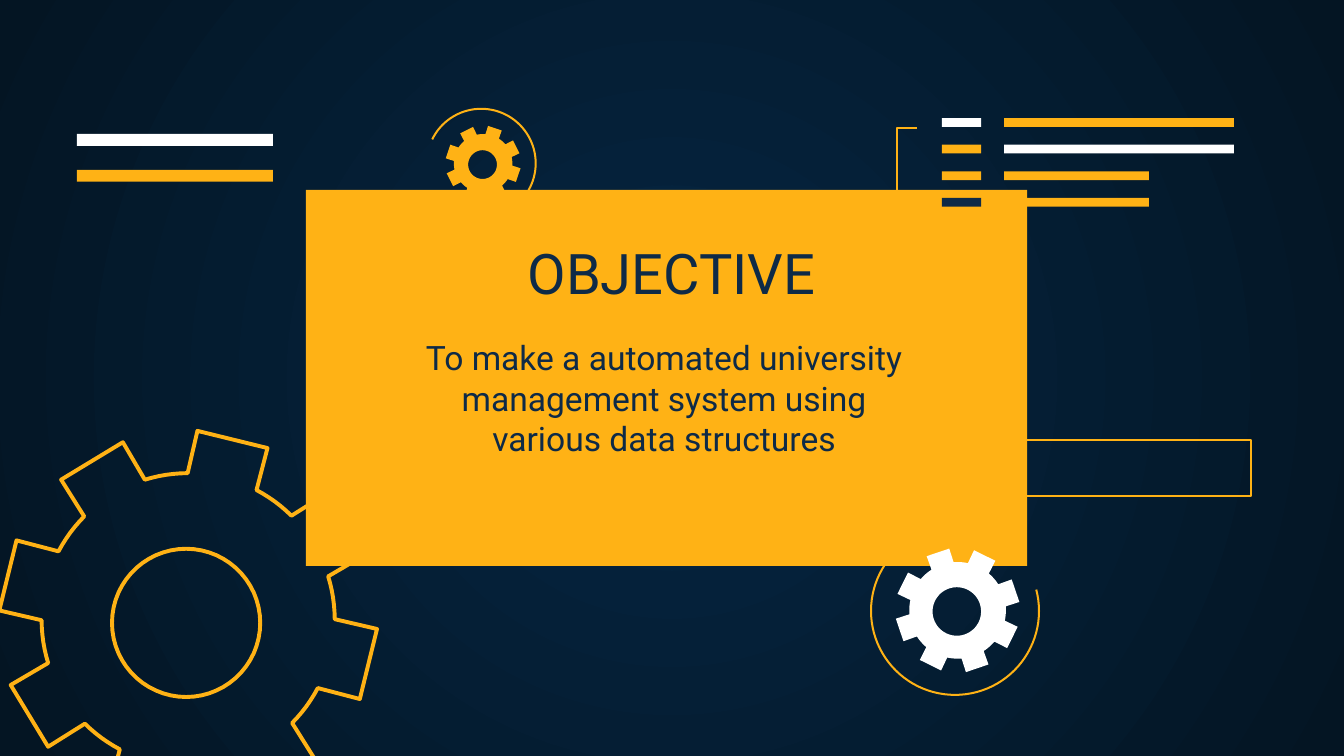
from math import cos, radians, sin

from lxml import etree
from pptx import Presentation
from pptx.dml.color import RGBColor
from pptx.enum import shapes, text
from pptx.oxml.ns import qn
from pptx.util import Pt

NIGHT = RGBColor(0x05, 0x26, 0x43)
NIGHT_EDGE = RGBColor(0x04, 0x15, 0x23)
NAVY = RGBColor(0x0E, 0x2A, 0x47)
AMBER = RGBColor(0xFF, 0xB2, 0x15)
WHITE = RGBColor(0xFF, 0xFF, 0xFF)
FONT = "Roboto"
THIN, THICK = 1.09, 2.1
TEETH = 8


def paint(shape, fill=None, line=None, width=THIN):
    shape.shadow.inherit = False
    if fill is None:
        shape.fill.background()
    else:
        shape.fill.solid()
        shape.fill.fore_color.rgb = fill
    if line is None:
        shape.line.fill.background()
    else:
        shape.line.color.rgb = line
        shape.line.width = Pt(width)


def add_rect(slide, left, top, width, height, **style):
    rect = slide.shapes.add_shape(shapes.MSO_SHAPE.RECTANGLE, Pt(left), Pt(top), Pt(width), Pt(height))
    paint(rect, **style)


def add_outline(slide, contours, closed=True, **style):
    """Draw one freeform from lists of (x, y) points."""
    contours = [[(Pt(x), Pt(y)) for x, y in contour] for contour in contours]
    builder = slide.shapes.build_freeform(*contours[0][0])
    for i, contour in enumerate(contours):
        if i:
            builder.move_to(*contour[0])
        builder.add_line_segments(contour[1:], close=closed)
    paint(builder.convert_to_shape(), **style)


def polar(x, y, radius, degrees):
    return x + radius * cos(radians(degrees)), y + radius * sin(radians(degrees))


def add_gear(slide, x, y, radius, turn, hole, **style):
    """Draw a gear centred on x, y; hole is its offset from there and its radius."""
    pitch, tip_half, root_half, steps = 360 / TEETH, 11, 14, 6
    root = 0.775 * radius
    rim = []
    for tooth in range(TEETH):
        middle = turn + tooth * pitch
        rim += [polar(x, y, radius, middle - tip_half), polar(x, y, radius, middle + tip_half)]
        valley = pitch - 2 * root_half
        rim += [polar(x, y, root, middle + root_half + valley * i / steps) for i in range(steps + 1)]
    dx, dy, hole_radius = hole
    bore = [polar(x + dx, y + dy, hole_radius, -a) for a in range(0, 360, 6)]
    add_outline(slide, [rim, bore], **style)


def add_orbit(slide, x, y, radius, start, end):
    """Draw a clockwise arc between two angles."""
    orbit = slide.shapes.add_shape(
        shapes.MSO_SHAPE.ARC, Pt(x - radius), Pt(y - radius), Pt(2 * radius), Pt(2 * radius))
    # Adjustments count 100000ths, angles 60000ths of a degree.
    orbit.adjustments[0], orbit.adjustments[1] = start * 0.6, end * 0.6
    paint(orbit, line=AMBER)


def add_code_lines(slide, left, top):
    rows = [(WHITE, AMBER, 123.2), (AMBER, WHITE, 123.2), (AMBER, AMBER, 77.6), (NAVY, AMBER, 77.6)]
    for i, (label, bar, length) in enumerate(rows):
        y = top + 14.25 * i
        add_rect(slide, left, y, 21, 4.7, fill=label)
        add_rect(slide, left + 33.3, y, length, 4.7, fill=bar)


def add_stripes(slide, left, top):
    for i, color in enumerate((WHITE, AMBER)):
        add_rect(slide, left, top + 19.2 * i, 105, 6.4, fill=color)


def add_bracket(slide, left, top, width, height):
    right, bottom = left + width, top + height
    add_outline(slide, [[(right, bottom), (left, bottom), (left, top), (right, top)]],
                closed=False, line=AMBER)


def place_text(holder, words, left, top, width, height, size, anchor):
    holder.left, holder.top, holder.width, holder.height = Pt(left), Pt(top), Pt(width), Pt(height)
    frame = holder.text_frame
    frame.text = words
    frame.word_wrap = True
    frame.auto_size = text.MSO_AUTO_SIZE.NONE
    frame.vertical_anchor = anchor
    frame.margin_left = frame.margin_right = frame.margin_top = frame.margin_bottom = Pt(7.2)
    paragraph = frame.paragraphs[0]
    paragraph.alignment = text.PP_ALIGN.CENTER
    paragraph.space_before = Pt(0)
    font = paragraph.runs[0].font
    font.name, font.size, font.color.rgb = FONT, Pt(size), NAVY
    # Bring the text in front of the panel.
    holder.element.getparent().append(holder.element)


def add_panel_text(slide, left, top):
    title, objective = slide.shapes.title, slide.placeholders[1]
    place_text(objective, "To make a automated university management system using various data structures",
               left + 56, top + 71.7, 272, 111.6, 18, text.MSO_ANCHOR.TOP)
    place_text(title, "OBJECTIVE", left - 139.5, top + 22, 671, 47.5, 30, text.MSO_ANCHOR.BOTTOM)


def set_radial_background(slide):
    fill = slide.background.fill
    fill.gradient()
    for stop, color, position in zip(fill.gradient_stops, (NIGHT, NIGHT_EDGE), (0, 1)):
        stop.color.rgb = color
        stop.position = position
    linear = next(slide.element.iter(qn("a:lin")))
    circle = etree.Element(qn("a:path"), {"path": "circle"})
    etree.SubElement(circle, qn("a:fillToRect"), {side: "50000" for side in "ltrb"})
    linear.getparent().replace(linear, circle)


def build_objective_slide(deck):
    slide = deck.slides.add_slide(deck.slide_layouts[0])
    set_radial_background(slide)
    panel_left, panel_top = 163.8, 101.7
    add_rect(slide, panel_left, panel_top, 386.5, 201.5, fill=AMBER)
    add_orbit(slide, 257.8, 87.5, 29.2, 206, 96)
    add_orbit(slide, 511.6, 327.3, 45, 345.3, 232.9)
    add_gear(slide, 100.8, 332, 101.3, 13.8, (-1.1, 1.7, 39.7), line=AMBER, width=THICK)
    add_gear(slide, 513, 327, 33.4, 26.3, (-0.4, 0.6, 13), fill=WHITE)
    add_gear(slide, 258.8, 87.5, 20.2, 18.6, (-0.3, 0.7, 7.7), fill=AMBER)
    add_code_lines(slide, 504.6, 63.3)
    add_bracket(slide, 480.4, 68.4, 11, 43.6)
    add_stripes(slide, 41.2, 71.8)
    add_rect(slide, 518.4, 235.8, 152, 30, line=AMBER)
    add_panel_text(slide, panel_left, panel_top)


def main():
    deck = Presentation()
    deck.slide_width, deck.slide_height = Pt(720), Pt(405)
    build_objective_slide(deck)
    deck.save("out.pptx")


if __name__ == "__main__":
    main()
